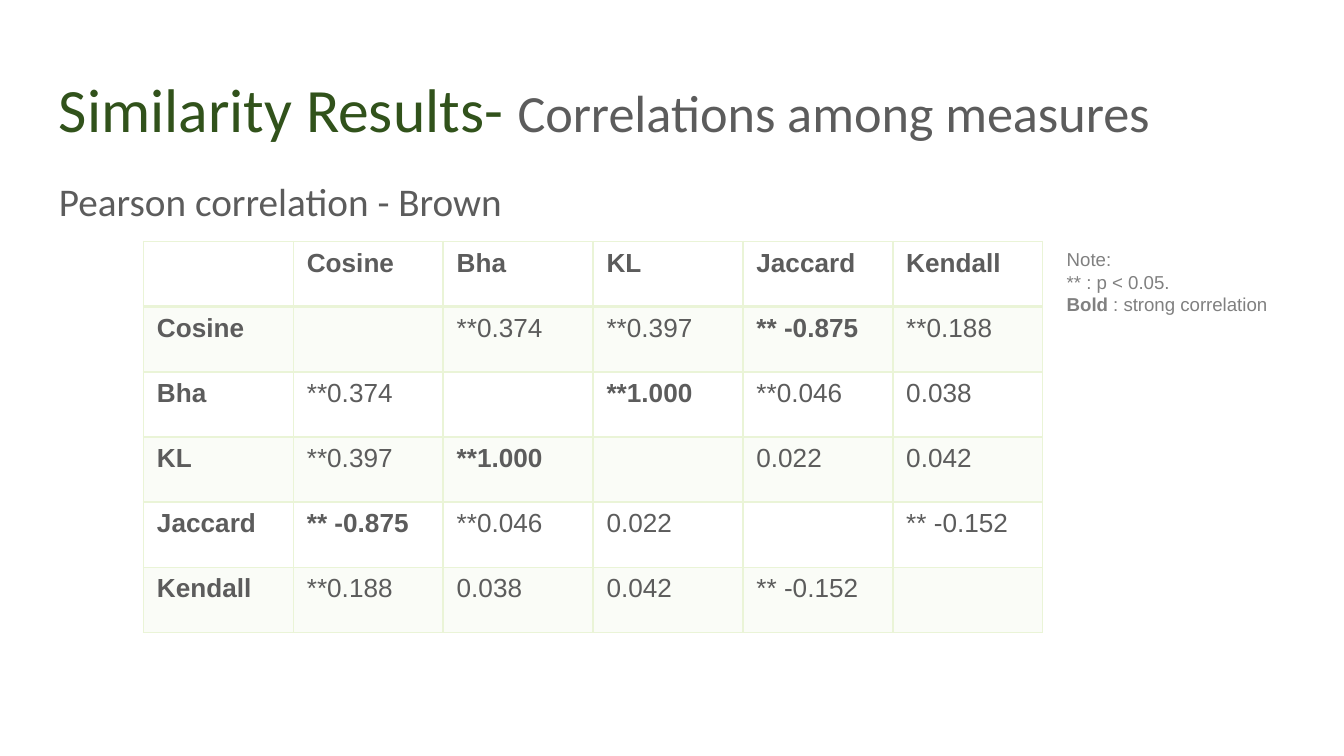
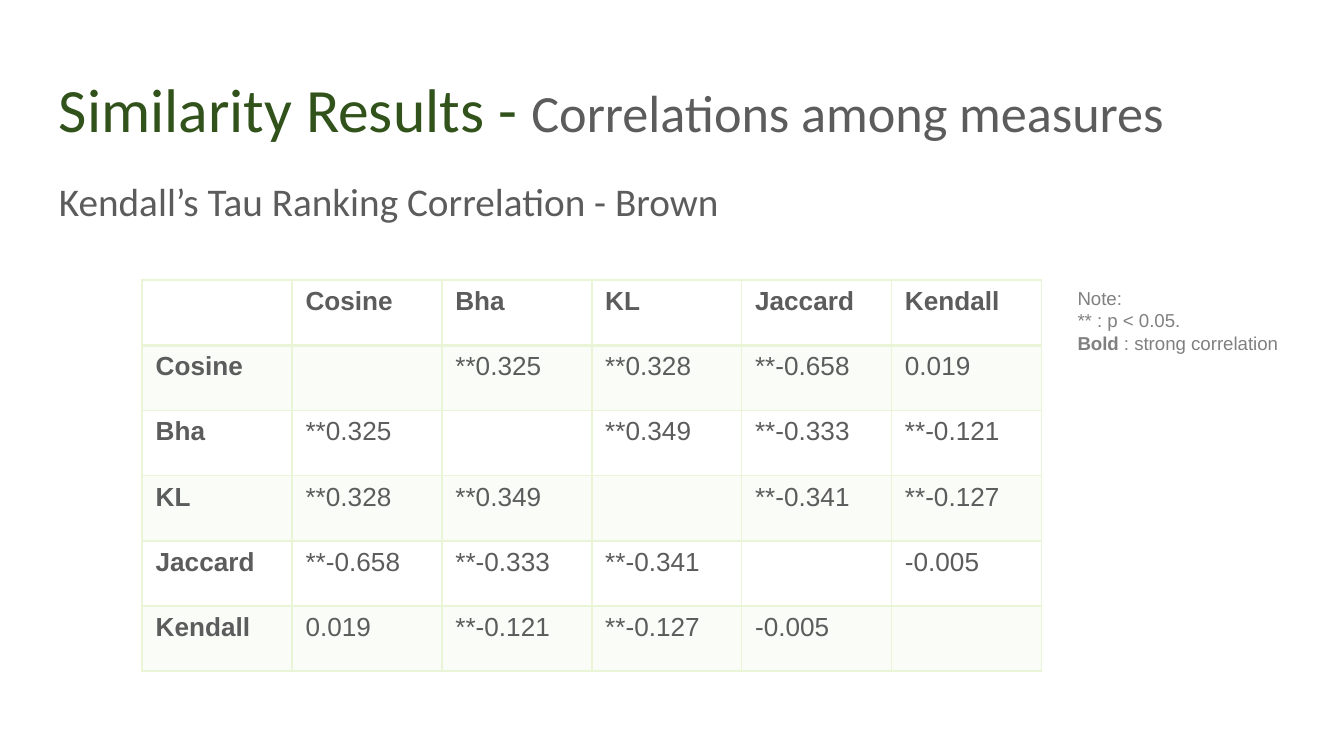
from lxml import etree
from pptx import Presentation
from pptx.dml.color import RGBColor
from pptx.enum import text
from pptx.oxml import ns
from pptx.util import Pt

GREEN, GREY, NOTE, PALE = "31521B", "5C5C5C", "808080", "EAF4D7"
NO_STYLE = "{2D5ABB26-0587-4C30-8999-92F81FD0307C}"
COL_W, ROW_H = 80.28, 34.95
STRONG = 0.8


def rgb(value):
    return RGBColor.from_string(value)


def write(p, words, size=14, font="Arial", color=GREY, bold=False):
    r = p.add_run()
    r.text = words
    r.font.size = Pt(size)
    r.font.name = font
    r.font.bold = bold
    r.font.color.rgb = rgb(color)


names = ["Cosine", "Bha", "KL", "Jaccard", "Kendall"]
slides = [
    dict(title="Similarity Results- ", heading="Pearson correlation - Brown",
         left=76.9, top=129.4, note_left=564.4,
         upper=[["**0.374", "**0.397", "** -0.875", "**0.188"],
                ["**1.000", "**0.046", "0.038"],
                ["0.022", "0.042"],
                ["** -0.152"]]),
    dict(title="Similarity Results - ", heading="Kendall’s Tau Ranking Correlation - Brown",
         left=76.2, top=150, note_left=570.2,
         upper=[["**0.325", "**0.328", "**-0.658", "0.019"],
                ["**0.349", "**-0.333", "**-0.121"],
                ["**-0.341", "**-0.127"],
                ["-0.005"]]),
]

prs = Presentation()
prs.slide_width, prs.slide_height = Pt(720), Pt(405)

for data in slides:
    s = prs.slides.add_slide(prs.slide_layouts[6])
    s.background.fill.solid()
    s.background.fill.fore_color.rgb = rgb("FFFFFF")

    title_runs = [(data["title"], 33, GREEN), ("Correlations among measures", 28, GREY)]
    heading_runs = [(data["heading"], 21, GREY)]
    for top, height, runs in [(35.3, 45.4, title_runs), (90.7, 269.3, heading_runs)]:
        tf = s.shapes.add_textbox(Pt(24.5), Pt(top), Pt(671), Pt(height)).text_frame
        tf.word_wrap = True
        tf.margin_left = tf.margin_right = tf.margin_top = tf.margin_bottom = Pt(7.2)
        p = tf.paragraphs[0]
        p.line_spacing = 0.9
        for words, size, color in runs:
            write(p, words, size=size, font="Calibri", color=color)

    n = len(names) + 1
    frame = s.shapes.add_table(n, n, Pt(data["left"]), Pt(data["top"]), Pt(COL_W * n), Pt(ROW_H * n))
    tbl = frame.table
    frame._element.find(".//" + ns.qn("a:tableStyleId")).text = NO_STYLE
    for i in range(n):
        tbl.columns[i].width = Pt(COL_W)
        tbl.rows[i].height = Pt(ROW_H)
        for j in range(n):
            cell = tbl.cell(i, j)
            header = i == 0 or j == 0
            if header:
                words = names[max(i, j) - 1] if i != j else ""
            else:
                low, high = min(i, j), max(i, j)
                words = data["upper"][low - 1][high - low - 1] if i != j else ""
            if words:
                bold = header or abs(float(words.strip("* "))) > STRONG
                write(cell.text_frame.paragraphs[0], words, bold=bold)

            tcPr = cell._tc.get_or_add_tcPr()
            if i % 2:
                cell.fill.solid()
                cell.fill.fore_color.rgb = rgb(PALE)
                etree.SubElement(tcPr.find(".//" + ns.qn("a:srgbClr")), ns.qn("a:alpha"), val="20000")
            else:
                cell.fill.background()
            for k, side in enumerate("LRTB"):
                thick = (i, side) in [(0, "B"), (1, "T")]
                ln = etree.Element(ns.qn("a:ln" + side), w=str(Pt(2 if thick else 1)))
                fill = etree.SubElement(ln, ns.qn("a:solidFill"))
                etree.SubElement(fill, ns.qn("a:srgbClr"), val=PALE)
                tcPr.insert(k, ln)

    tf = s.shapes.add_textbox(Pt(data["note_left"]), Pt(data["top"]), Pt(125.3), Pt(43.9)).text_frame
    tf.word_wrap = True
    tf.auto_size = text.MSO_AUTO_SIZE.SHAPE_TO_FIT_TEXT
    note = [[("Note:", False)], [("** : p < 0.05.", False)],
            [("Bold ", True), (": strong correlation", False)]]
    for i, runs in enumerate(note):
        p = tf.add_paragraph() if i else tf.paragraphs[0]
        for words, bold in runs:
            write(p, words, size=10, color=NOTE, bold=bold)

prs.save("out.pptx")
